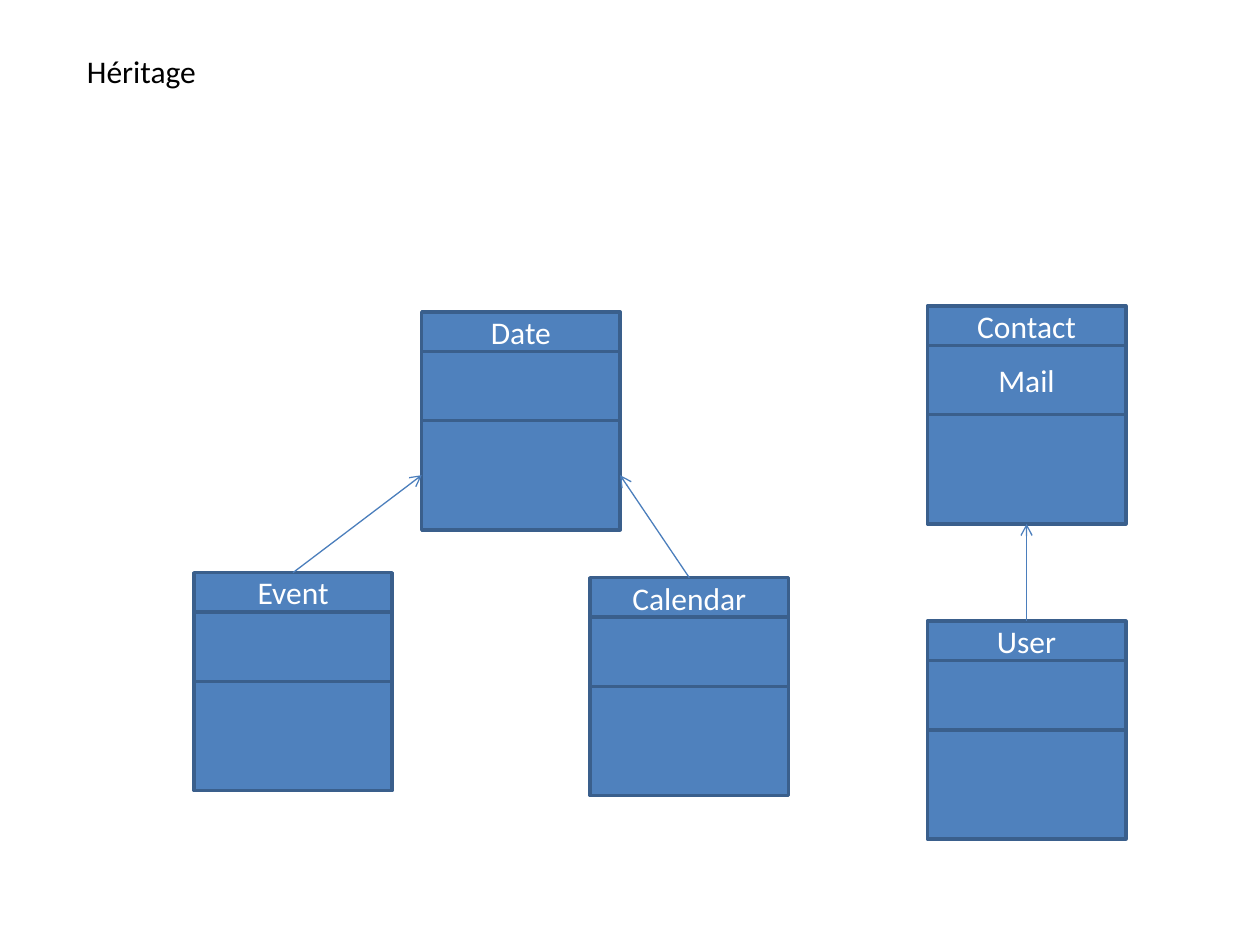
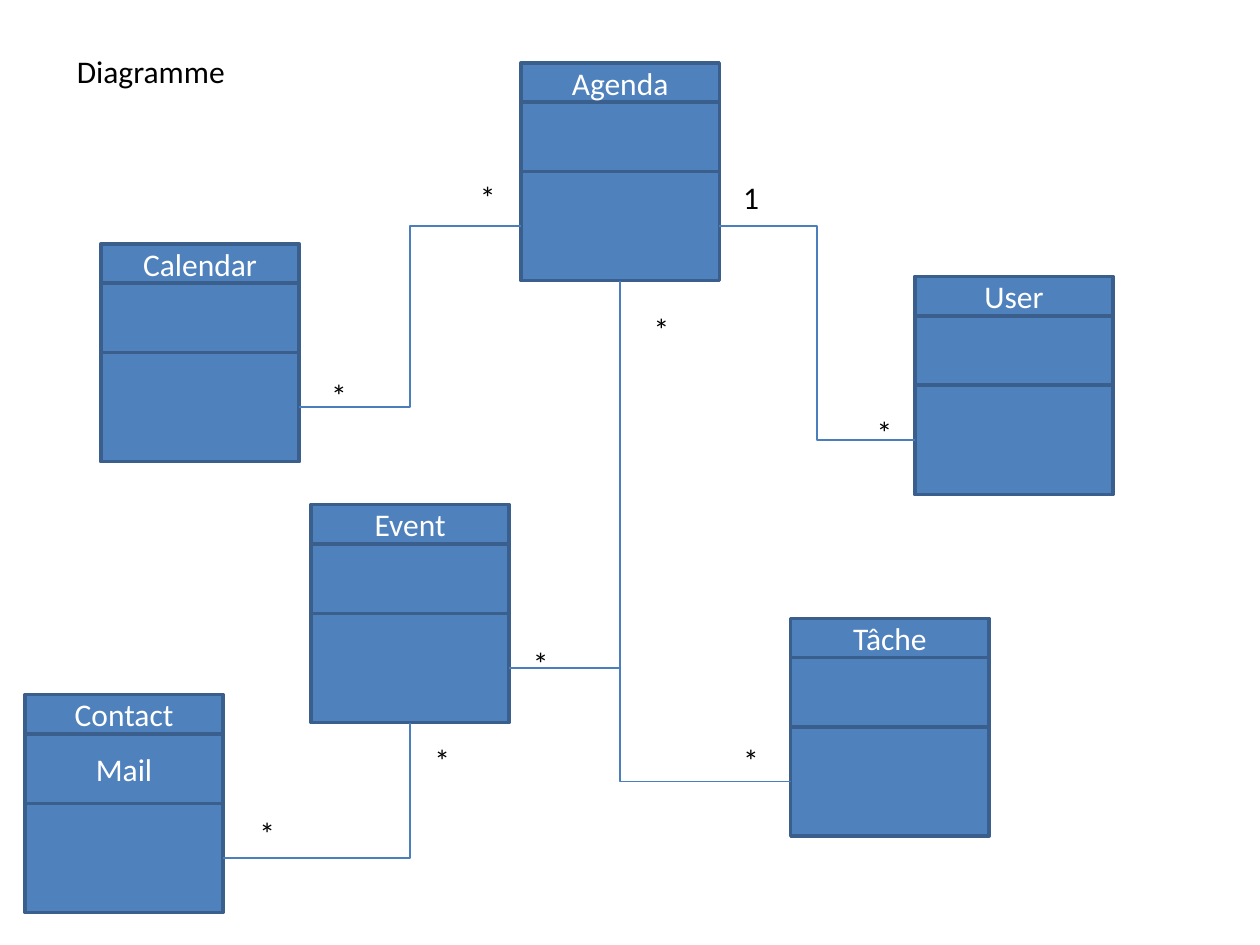
from lxml import etree
from pptx import Presentation
from pptx import util as u
from pptx.dml.color import RGBColor
from pptx.enum import shapes, text
from pptx.oxml.ns import qn

BLUE, EDGE, LINK = "4F81BD", "3A5F8C", "4B7EBC"
WHITE, BLACK = "FFFFFF", "000000"

deck = Presentation()
deck.slide_width, deck.slide_height = u.Inches(10), u.Inches(7.5)

# Grid of 100 columns by 75 rows, square cells
CELL = deck.slide_width / 100
CLASS_WIDTH = 15.75
# Compartments of a class: part, rows below its top, height in rows
PARTS = [("attributes", 3.13, 5.5), ("methods", 8.63, 8.67), ("name", 0, 3.13)]
# Connection sites of a rectangle
TOP, LEFT, BOTTOM, RIGHT = range(4)


def grid(*cells):
    return [u.Emu(round(cell * CELL)) for cell in cells]


def write(box, words, color, align, anchor):
    frame = box.text_frame
    frame.word_wrap = True
    frame.auto_size = text.MSO_AUTO_SIZE.NONE
    frame.vertical_anchor = anchor
    frame.margin_left = frame.margin_right = u.Inches(0.1)
    frame.margin_top = frame.margin_bottom = u.Inches(0.05)
    para = frame.paragraphs[0]
    para.text = words
    para.alignment = align
    para.font.name, para.font.size = "Calibri", u.Pt(18)
    para.font.color.rgb = RGBColor.from_string(color)


# Classes: name -> left column, top row.
# Links: class, part, site at the start; the same at the end; geometry.
# Labels: words, left column, top row, width.
pages = [
    dict(
        title=("Héritage", 5.9, 26),
        classes={"Contact": (73.6, 24.28), "Event": (15.38, 45.45),
                 "User": (73.6, 49.3), "Date": (33.47, 24.75),
                 "Calendar": (46.83, 45.85)},
        links=[("Event", "name", TOP, "Date", "methods", LEFT, "line"),
               ("Calendar", "name", TOP, "Date", "methods", RIGHT, "line"),
               ("User", "name", TOP, "Contact", "methods", BOTTOM, "line")],
        arrows=True,
        labels=[],
    ),
    dict(
        title=("Diagramme", 5.1, 16.3),
        classes={"Agenda": (41.34, 4.98), "Contact": (1.97, 55.13),
                 "Calendar": (8, 19.35), "Event": (24.67, 40.05),
                 "User": (72.6, 21.95), "Tâche": (62.75, 49.07)},
        links=[("Calendar", "methods", RIGHT, "Agenda", "methods", LEFT, "bentConnector3"),
               ("Agenda", "methods", RIGHT, "User", "methods", LEFT, "bentConnector3"),
               ("Tâche", "methods", LEFT, "Agenda", "methods", BOTTOM, "bentConnector2"),
               ("Event", "methods", RIGHT, "Agenda", "methods", BOTTOM, "bentConnector2"),
               ("Contact", "methods", RIGHT, "Event", "methods", BOTTOM, "bentConnector2")],
        arrows=False,
        labels=[("*", 25.3, 29.35, 3.1), ("*", 37.1, 13.63, 3.1), ("1", 58, 13.63, 5.5),
                ("*", 68.6, 32.3, 3.9), ("*", 41.3, 50.6, 3.5), ("*", 58, 58.3, 3.5),
                ("*", 50.9, 24.1, 4.4), ("*", 33.5, 58.3, 3.7), ("*", 19.6, 64.15, 3.7)],
    ),
]

for content in pages:
    page = deck.slides.add_slide(deck.slide_layouts[5])

    # Title
    words, left, width = content["title"]
    title = page.shapes.title
    title.left, title.top, title.width, title.height = grid(left, 3.6, width, 4)
    write(title, words, BLACK, text.PP_ALIGN.LEFT, text.MSO_ANCHOR.TOP)

    # Classes, each a group of three compartments
    boxes = {}
    for name, (left, top) in content["classes"].items():
        group = page.shapes.add_group_shape()
        captions = {"name": name}
        if name == "Contact":
            captions["attributes"] = "Mail"
        for part, offset, height in PARTS:
            box = group.shapes.add_shape(shapes.MSO_SHAPE.RECTANGLE,
                                         *grid(left, top + offset, CLASS_WIDTH, height))
            box.shadow.inherit = False
            box.fill.solid()
            box.fill.fore_color.rgb = RGBColor.from_string(BLUE)
            box.line.color.rgb = RGBColor.from_string(EDGE)
            box.line.width = u.Pt(2)
            if part in captions:
                write(box, captions[part], WHITE, text.PP_ALIGN.CENTER, text.MSO_ANCHOR.MIDDLE)
            boxes[name, part] = box

    # Links, glued to the compartments
    for start, start_part, start_site, end, end_part, end_site, geometry in content["links"]:
        kind = shapes.MSO_CONNECTOR.STRAIGHT if geometry == "line" else shapes.MSO_CONNECTOR.ELBOW
        link = page.shapes.add_connector(kind, 0, 0, 0, 0)
        link.begin_connect(boxes[start, start_part], start_site)
        link.end_connect(boxes[end, end_part], end_site)
        link.line.color.rgb = RGBColor.from_string(LINK)
        link.line.width = u.Pt(0.75)
        properties = link._element.spPr
        properties.find(qn("a:prstGeom")).set("prst", geometry)
        if content["arrows"]:
            etree.SubElement(properties.find(qn("a:ln")), qn("a:tailEnd"), type="arrow")
        etree.SubElement(properties, qn("a:effectLst"))

    # Multiplicities
    for words, left, top, width in content["labels"]:
        label = page.shapes.add_textbox(*grid(left, top, width, 4))
        write(label, words, BLACK, text.PP_ALIGN.LEFT, text.MSO_ANCHOR.TOP)

deck.save("out.pptx")
